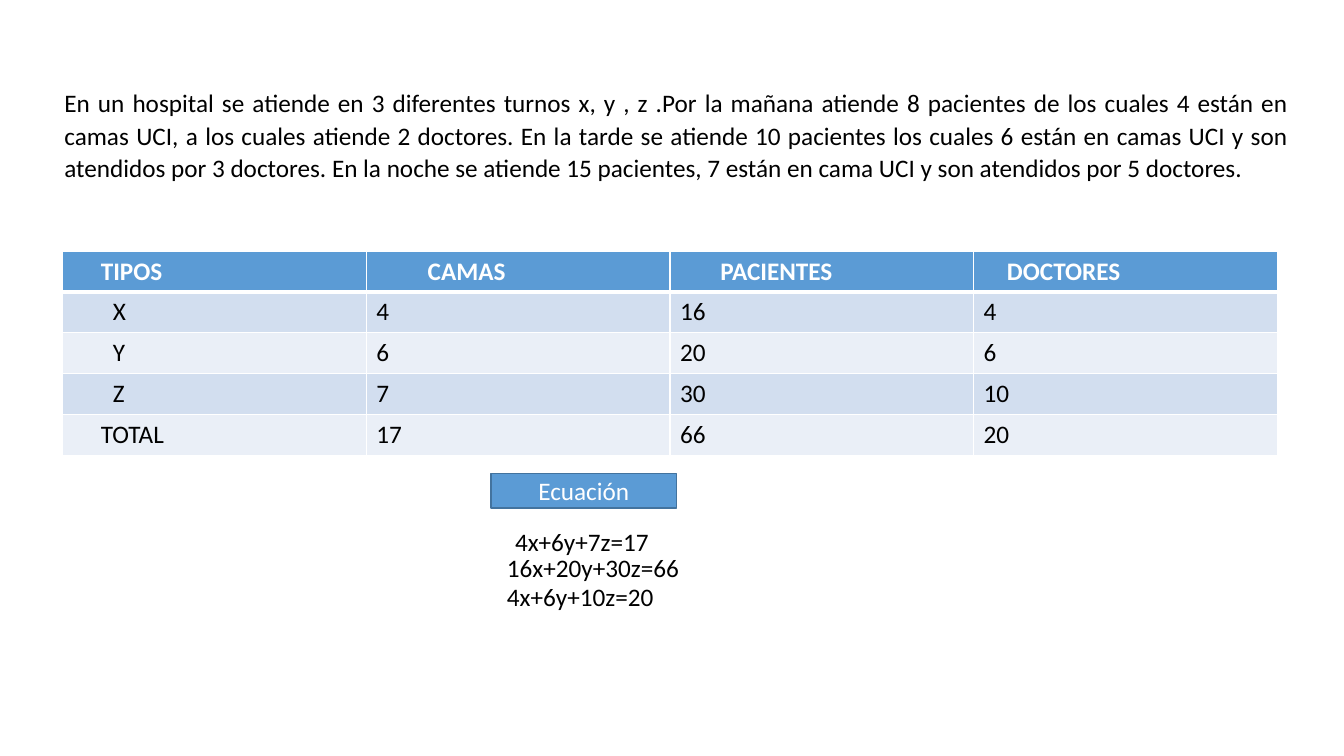
from lxml.etree import SubElement
from pptx import Presentation
from pptx.dml.color import RGBColor
from pptx.enum.shapes import MSO_SHAPE as Shape
from pptx.enum.text import MSO_ANCHOR as Anchor, PP_ALIGN as Align
from pptx.oxml.ns import qn
from pptx.util import Inches, Pt

COLORS = {
    "text": "000000",
    "white": "FFFFFF",
    "blue": "5B9BD5",
    "outline": "43739E",
    "dark_band": "D2DEEF",
    "light_band": "EAEFF7",
}

STATEMENT = (
    "En un hospital se atiende en 3 diferentes turnos x, y , z .Por la mañana "
    "atiende 8 pacientes de los cuales 4 están en camas UCI, a los cuales "
    "atiende 2 doctores. En la tarde se atiende 10 pacientes los cuales 6 están "
    "en camas UCI y son atendidos por 3 doctores. En la noche se atiende 15 "
    "pacientes, 7 están en cama UCI y son atendidos por 5 doctores."
)

SHIFTS = [
    ["TIPOS", "CAMAS", "PACIENTES", "DOCTORES"],
    ["X", "4", "16", "4"],
    ["Y", "6", "20", "6"],
    ["Z", "7", "30", "10"],
    ["TOTAL", "17", "66", "20"],
]
# Left margins of the indented labels; other cells use CELL_MARGIN
CELL_MARGIN = 0.1
LABEL_MARGINS = {
    "TIPOS": 0.38, "CAMAS": 0.61, "PACIENTES": 0.5, "DOCTORES": 0.33,
    "X": 0.5, "Y": 0.5, "Z": 0.5, "TOTAL": 0.38,
}

EQUATIONS = [
    ("4x+6y+7z=17", 5.01, 5.17, 2.06),
    ("16x+20y+30z=66", 4.93, 5.43, 2.06),
    ("4x+6y+10z=20", 4.93, 5.72, 2.43),
]


def color(name):
    return RGBColor.from_string(COLORS[name])


def write(frame, text, ink="text", bold=False, align=Align.LEFT,
          line_spacing=None, space_after=None):
    para = frame.paragraphs[0]
    para.alignment = align
    para.line_spacing = line_spacing
    para.space_after = space_after
    span = para.add_run()
    span.text = text
    span.font.name = "Calibri"
    span.font.size = Pt(18)
    span.font.bold = bold
    span.font.color.rgb = color(ink)


def add_text(page, text, left, top, width, height, **style):
    box = page.shapes.add_textbox(
        Inches(left), Inches(top), Inches(width), Inches(height))
    box.text_frame.word_wrap = True
    write(box.text_frame, text, **style)


def add_button(page, text, left, top, width, height):
    button = page.shapes.add_shape(
        Shape.RECTANGLE, Inches(left), Inches(top), Inches(width), Inches(height))
    button.shadow.inherit = False
    button.fill.solid()
    button.fill.fore_color.rgb = color("blue")
    button.line.color.rgb = color("outline")
    button.line.width = Pt(1)
    button.text_frame.vertical_anchor = Anchor.MIDDLE
    write(button.text_frame, text, ink="white", align=Align.CENTER)


def set_borders(cell, top, bottom):
    properties = cell._tc.get_or_add_tcPr()
    for side, points in (("L", 1), ("R", 1), ("T", top), ("B", bottom)):
        line = SubElement(properties, qn(f"a:ln{side}"), w=str(Pt(points)))
        fill = SubElement(line, qn("a:solidFill"))
        SubElement(fill, qn("a:srgbClr"), val=COLORS["white"])


def add_table(page, rows, left, top, width, height):
    table = page.shapes.add_table(
        len(rows), len(rows[0]),
        Inches(left), Inches(top), Inches(width), Inches(height)).table
    for row_index, row in enumerate(rows):
        header = row_index == 0
        band = "dark_band" if row_index % 2 else "light_band"
        for column_index, text in enumerate(row):
            cell = table.cell(row_index, column_index)
            # The rule between header and body is thicker
            set_borders(cell, top=3 if row_index == 1 else 1,
                        bottom=3 if header else 1)
            cell.fill.solid()
            cell.fill.fore_color.rgb = color("blue" if header else band)
            cell.margin_left = Inches(LABEL_MARGINS.get(text, CELL_MARGIN))
            write(cell.text_frame, text, bold=header,
                  ink="white" if header else "text")


def main():
    deck = Presentation()
    deck.slide_width, deck.slide_height = Inches(13.33), Inches(7.5)
    page = deck.slides.add_slide(deck.slide_layouts[6])

    # Problem statement
    add_text(page, STATEMENT, 0.54, 0.8, 12.34, 1.5, align=Align.JUSTIFY,
             line_spacing=1.07, space_after=Pt(8))

    # Table of shifts
    add_table(page, SHIFTS, 0.62, 2.49, 12.05, 2.03)

    # System of equations
    for equation, left, top, width in EQUATIONS:
        add_text(page, equation, left, top, width, 0.4)
    add_button(page, "Ecuación", 4.87, 4.7, 1.84, 0.34)

    deck.save("out.pptx")


if __name__ == "__main__":
    main()
